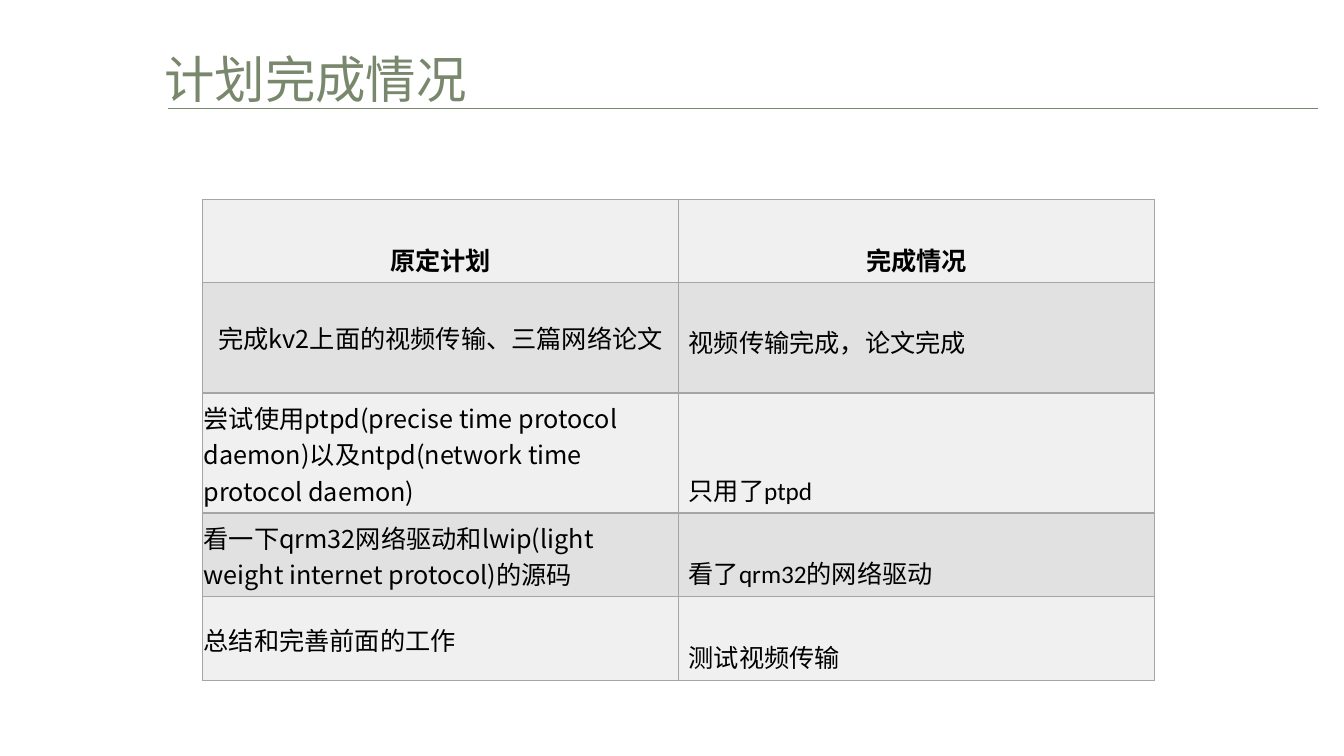
from lxml import etree
from pptx import Presentation
from pptx.dml.color import RGBColor
from pptx.enum.shapes import MSO_CONNECTOR
from pptx.enum.text import MSO_ANCHOR, PP_ALIGN
from pptx.oxml.ns import qn
from pptx.util import Inches, Pt

TOP, MIDDLE = MSO_ANCHOR.TOP, MSO_ANCHOR.MIDDLE
LEFT, CENTER, JUSTIFY = PP_ALIGN.LEFT, PP_ALIGN.CENTER, PP_ALIGN.JUSTIFY
CJK, LATIN = "Noto Sans CJK SC", "Calibri"
GREEN, BLACK, BORDER = "79886C", "000000", "A5A5A5"
BANDS = ("F0F0F0", "E1E1E1")

TITLE = "计划完成情况"
HEADERS = ("原定计划", "完成情况")
# plan, plan format, result, result line spacing, row height
ROWS = [
    ("完成kv2上面的视频传输、三篇网络论文",
     dict(align=CENTER, spacing=2.0, anchor=TOP),
     "视频传输完成，论文完成", 2.0, 1.1),
    ("尝试使用ptpd(precise time protocol daemon)以及ntpd(network time protocol daemon)",
     dict(align=LEFT), "只用了ptpd", 3.0, 1.19),
    ("看一下qrm32网络驱动和lwip(light weight internet protocol)的源码",
     dict(align=LEFT), "看了qrm32的网络驱动", 2.0, 0.83),
    ("总结和完善前面的工作", dict(align=JUSTIFY), "测试视频传输", 2.0, 0.83),
]
HEADER_HEIGHT = 0.82
COLUMN_WIDTH = 4.72
TABLE_LEFT, TABLE_TOP = 2.01, 1.98


def color(value):
    return RGBColor.from_string(value)


def write(frame, text, size=18, font=LATIN, ink=BLACK, bold=False,
          align=LEFT, spacing=1.0):
    para = frame.paragraphs[0]
    para.alignment, para.line_spacing = align, spacing
    span = para.add_run()
    span.text = text
    span.font.size, span.font.bold, span.font.name = Pt(size), bold, font
    span.font.color.rgb = color(ink)
    east_asian = etree.SubElement(span.font._element, qn("a:ea"))
    east_asian.set("typeface", CJK)


def add_borders(cell):
    """Put thin lines on all four sides, ahead of the cell's fill."""
    properties = cell._tc.get_or_add_tcPr()
    for index, side in enumerate(("a:lnL", "a:lnR", "a:lnT", "a:lnB")):
        line = etree.Element(qn(side), w=str(Pt(1)))
        fill = etree.SubElement(line, qn("a:solidFill"))
        etree.SubElement(fill, qn("a:srgbClr"), val=BORDER)
        properties.insert(index, line)


def fill_cell(cell, text, band, anchor=TOP, tight=False, **style):
    cell.fill.solid()
    cell.fill.fore_color.rgb = color(band)
    add_borders(cell)
    cell.vertical_anchor = anchor
    if tight:
        cell.margin_left = cell.margin_right = cell.margin_top = Inches(0.01)
        cell.margin_bottom = 0
    write(cell.text_frame, text, **style)


def add_title(page):
    box = page.shapes.add_textbox(Inches(1.53), Inches(0.3), Inches(4.55), Inches(0.95))
    box.text_frame.word_wrap = True
    box.text_frame.vertical_anchor = MIDDLE
    write(box.text_frame, TITLE, size=36, font=CJK, ink=GREEN)
    rule = page.shapes.add_connector(MSO_CONNECTOR.STRAIGHT, Inches(1.67), Inches(1.08),
                                     Inches(13.07), Inches(1.08))
    rule.line.color.rgb = color(GREEN)
    rule.line.width = Pt(0.5)
    etree.SubElement(rule._element.spPr, qn("a:effectLst"))


def add_plan_table(page):
    heights = [HEADER_HEIGHT] + [row[-1] for row in ROWS]
    table = page.shapes.add_table(
        len(heights), len(HEADERS), Inches(TABLE_LEFT), Inches(TABLE_TOP),
        Inches(COLUMN_WIDTH * len(HEADERS)), Inches(sum(heights))).table
    for row, height in zip(table.rows, heights):
        row.height = Inches(height)
    for index, header in enumerate(HEADERS):
        table.columns[index].width = Inches(COLUMN_WIDTH)
        fill_cell(table.cell(0, index), header, BANDS[0], bold=True,
                  align=CENTER, spacing=2.0)
    for index, (plan, style, result, spacing, _) in enumerate(ROWS, 1):
        band = BANDS[index % 2]
        fill_cell(table.cell(index, 0), plan, band,
                  **{"anchor": MIDDLE, "tight": True, "font": CJK, **style})
        fill_cell(table.cell(index, 1), result, band, align=JUSTIFY, spacing=spacing)


def main():
    deck = Presentation()
    deck.slide_width, deck.slide_height = Inches(13.33), Inches(7.5)
    page = deck.slides.add_slide(deck.slide_layouts[6])
    add_title(page)
    add_plan_table(page)
    deck.save("out.pptx")


if __name__ == "__main__":
    main()
